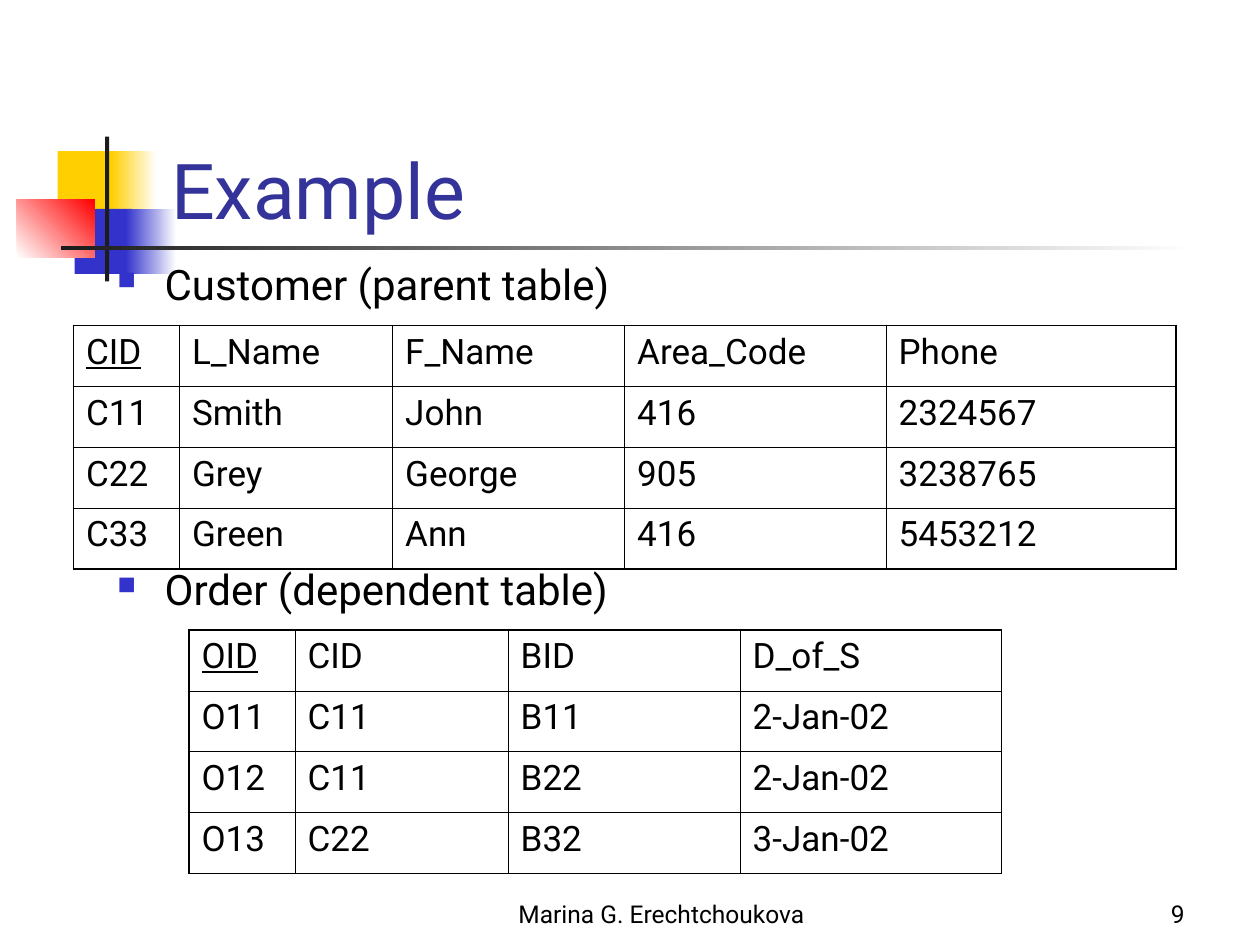
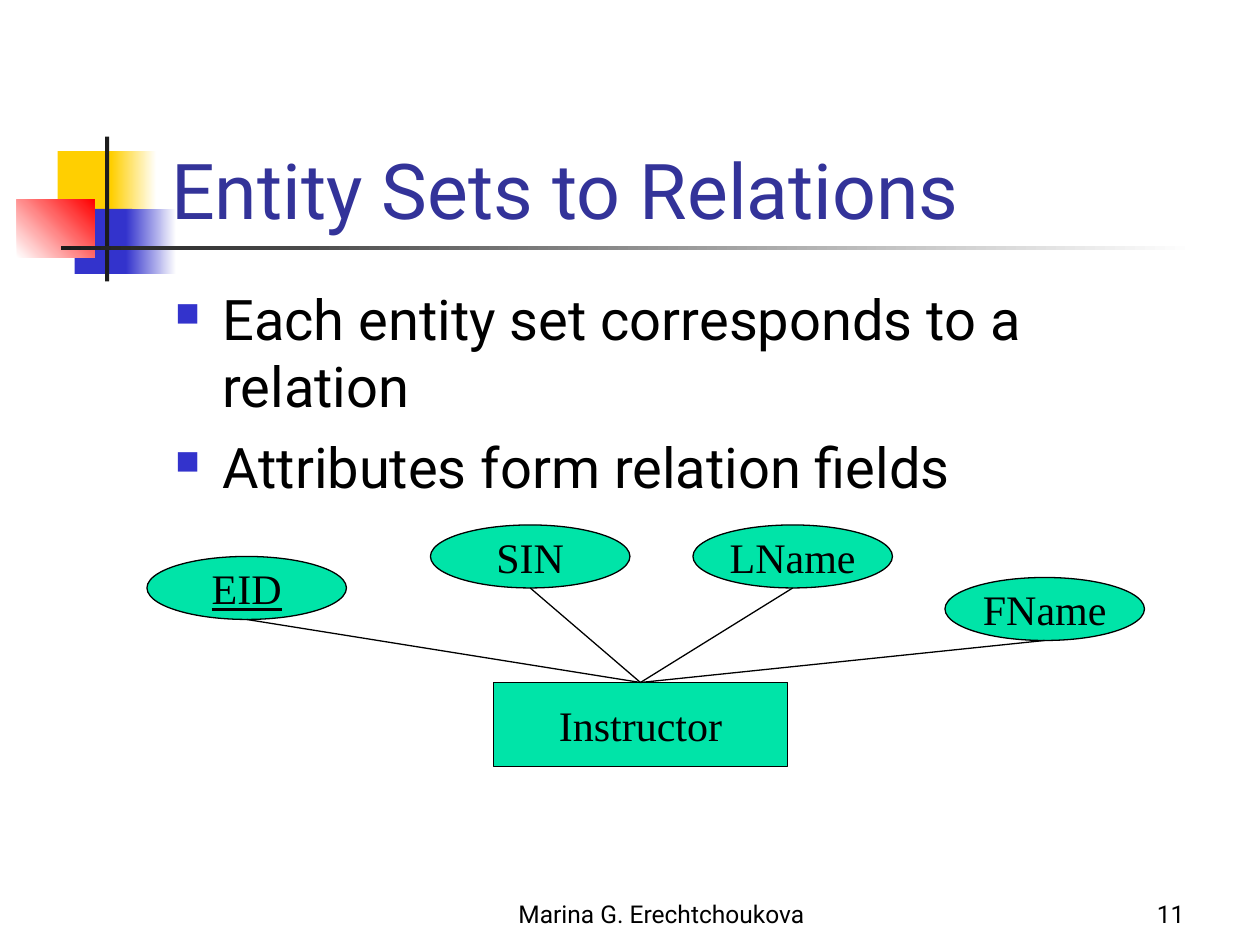
from lxml.etree import SubElement
from pptx import Presentation
from pptx.dml.color import RGBColor
from pptx.enum.shapes import MSO_CONNECTOR, MSO_SHAPE
from pptx.enum.text import MSO_ANCHOR, MSO_AUTO_SIZE, PP_ALIGN
from pptx.oxml.ns import qn
from pptx.util import Emu, Pt

SCALE = 7620
SANS, SERIF = "Roboto", "Times New Roman"
COLORS = {
    "black": "000000", "white": "FFFFFF", "title": "333399", "gold": "FFCF01",
    "blue": "3333CC", "red": "FF0000", "dark": "1C1C1C", "mint": "00E4A8",
}
EMBLEM = [
    ((39, 14, 58, 62), ["gold"], 0),
    ((90, 14, 43, 62), ["gold", "white"], 0),
    ((55, 69, 55, 62), ["blue"], 0),
    ((104, 69, 48, 62), ["blue", "white"], 0),
    ((0, 60, 74, 55), ["white", "red"], 45),
    ((84, 0, 4, 138), ["dark"], 0),
    ((42, 104, 1080, 4), ["dark", "white"], 0),
]
COLUMNS = [101, 203, 221, 249, 276]
ROW = 58
CUSTOMERS = [
    ["CID", "L_Name", "F_Name", "Area_Code", "Phone"],
    ["C11", "Smith", "John", "416", "2324567"],
    ["C22", "Grey", "George", "905", "3238765"],
    ["C33", "Green", "Ann", "416", "5453212"],
]
ORDERS = [
    ["OID", "CID", "BID", "D_of_S"],
    ["O11", "C11", "B11", "2-Jan-02"],
    ["O12", "C11", "B22", "2-Jan-02"],
    ["O13", "C22", "B32", "3-Jan-02"],
]
FIELDS = [("EID", 0, 30), ("SIN", 270, 0), ("LName", 520, 0), ("FName", 760, 50)]


def px(*values):
    return [Emu(value * SCALE) for value in values]


def tint(name):
    return RGBColor.from_string(COLORS[name])


def write(para, text, size=14, font=SANS, color="black", align=PP_ALIGN.LEFT,
          under=False, before=0):
    para.alignment = align
    para.space_before = Pt(before)
    run = para.add_run()
    run.text = text
    run.font.size = Pt(size)
    run.font.name = font
    run.font.color.rgb = tint(color)
    if under:
        run.font.underline = True


def add_text(slide, box, anchor=MSO_ANCHOR.TOP):
    frame = slide.shapes.add_textbox(*px(*box)).text_frame
    frame.word_wrap = True
    frame.vertical_anchor = anchor
    return frame


def add_emblem(slide, left, top):
    for (x, y, wide, high), names, angle in EMBLEM:
        part = slide.shapes.add_shape(
            MSO_SHAPE.RECTANGLE, *px(left + x, top + y, wide, high))
        part.shadow.inherit = False
        part.line.fill.background()
        if len(names) == 1:
            part.fill.solid()
            part.fill.fore_color.rgb = tint(names[0])
        else:
            part.fill.gradient()
            part.fill.gradient_angle = angle
            for stop, name in zip(part.fill.gradient_stops, names):
                stop.color.rgb = tint(name)


def add_title(slide, text, box):
    title = slide.shapes.title
    title.element.getparent().append(title.element)
    title.left, title.top, title.width, title.height = px(*box)
    frame = title.text_frame
    frame.auto_size = MSO_AUTO_SIZE.NONE
    frame.vertical_anchor = MSO_ANCHOR.BOTTOM
    write(frame.paragraphs[0], text, size=44, color="title")


def add_footer(slide, number, top):
    for text, left, wide, align in [
            ("Marina G. Erechtchoukova", 440, 380, PP_ALIGN.CENTER),
            (number, 890, 250, PP_ALIGN.RIGHT)]:
        frame = add_text(slide, (left, top, wide, 60), MSO_ANCHOR.BOTTOM)
        write(frame.paragraphs[0], text, align=align)


def add_base(deck, title, number):
    slide = deck.slides.add_slide(deck.slide_layouts[5])
    add_emblem(slide, 16, 130)
    add_footer(slide, number, 830)
    add_title(slide, title, (151, 80, 1022, 150))
    return slide


def add_bullets(slide, box, items, size):
    frame = add_text(slide, box)
    for index, (text, before) in enumerate(items):
        para = frame.add_paragraph() if index else frame.paragraphs[0]
        write(para, text, size=size, before=before)
        props = para._p.get_or_add_pPr()
        props.set("marL", str(45 * SCALE))
        props.set("indent", str(-45 * SCALE))
        color = SubElement(props, qn("a:buClr"))
        SubElement(color, qn("a:srgbClr"), val=COLORS["blue"])
        SubElement(props, qn("a:buSzPct"), val="60000")
        SubElement(props, qn("a:buChar"), char="■")


def add_border(cell, side, width):
    props = cell._tc.get_or_add_tcPr()
    line = SubElement(props, qn("a:ln" + side), w=str(Pt(width)))
    fill = SubElement(line, qn("a:solidFill"))
    SubElement(fill, qn("a:srgbClr"), val=COLORS["black"])


def add_grid(slide, left, top, data):
    rows, cols = len(data), len(data[0])
    widths = COLUMNS[:cols]
    table = slide.shapes.add_table(
        rows, cols, *px(left, top, sum(widths), rows * ROW)).table
    table.first_row = table.horz_banding = False
    for column, width in zip(table.columns, px(*widths)):
        column.width = width
    for r, record in enumerate(data):
        for c, text in enumerate(record):
            cell = table.cell(r, c)
            edges = {"L": c == 0, "R": c == cols - 1,
                     "T": r == 0, "B": r == rows - 1}
            for side, outer in edges.items():
                add_border(cell, side, 1.08 if outer else 0.45)
            cell.fill.background()
            write(cell.text_frame.paragraphs[0], text, size=20, before=5,
                  under=r == c == 0)


def add_node(slide, kind, box, text, under=False):
    node = slide.shapes.add_shape(kind, *px(*box))
    node.shadow.inherit = False
    node.fill.solid()
    node.fill.fore_color.rgb = tint("mint")
    node.line.color.rgb = tint("black")
    node.line.width = Pt(0.75)
    frame = node.text_frame
    frame.word_wrap = False
    frame.vertical_anchor = MSO_ANCHOR.MIDDLE
    write(frame.paragraphs[0], text, size=24, font=SERIF,
          align=PP_ALIGN.CENTER, under=under)
    return node


def add_link(slide, field, entity):
    start = field.left + field.width // 2, field.top + field.height
    link = slide.shapes.add_connector(MSO_CONNECTOR.STRAIGHT, *start, *start)
    link.end_connect(entity, 0)
    link.line.color.rgb = tint("black")
    link.line.width = Pt(0.75)
    SubElement(link._element.spPr, qn("a:effectLst"))


def add_model(slide, left, top):
    entity = add_node(slide, MSO_SHAPE.FLOWCHART_PROCESS,
                      (left + 330, top + 150, 280, 80), "Instructor")
    fields = [
        add_node(slide, MSO_SHAPE.FLOWCHART_CONNECTOR,
                 (left + x, top + y, 190, 60), text, under=text == "EID")
        for text, x, y in FIELDS]
    for field in fields:
        add_link(slide, field, entity)


def add_tables(deck):
    slide = add_base(deck, "Example", "9")
    add_bullets(slide, (100, 240, 1020, 560), [
        ("Customer (parent table)", 6),
        ("Order (dependent table)", 145.5)], 24)
    add_grid(slide, 70, 310, CUSTOMERS)
    add_grid(slide, 180, 600, ORDERS)


def add_entity(deck):
    slide = add_base(deck, "Entity Sets to Relations", "11")
    add_bullets(slide, (155, 265, 1020, 540), [
        ("Each entity set corresponds to a relation", 8),
        ("Attributes form relation fields", 8)], 32)
    add_model(slide, 140, 500)


def main():
    deck = Presentation()
    deck.slide_width, deck.slide_height = px(1200, 900)
    add_tables(deck)
    add_entity(deck)
    deck.save("out.pptx")


if __name__ == "__main__":
    main()
